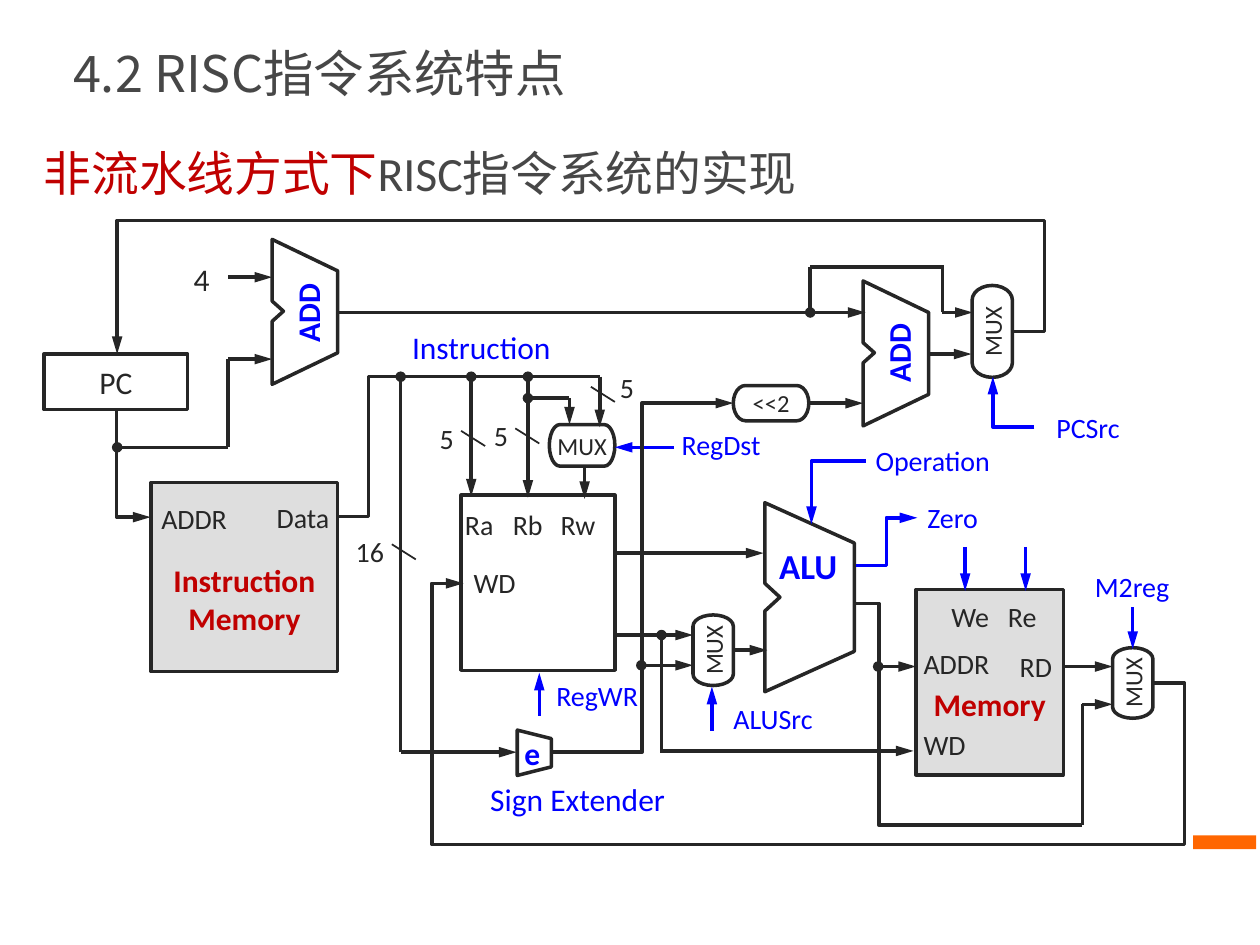
from dataclasses import dataclass

from lxml.etree import SubElement
from pptx import Presentation
from pptx.dml.color import RGBColor
from pptx.enum.shapes import MSO_CONNECTOR, MSO_SHAPE
from pptx.enum.text import MSO_ANCHOR, MSO_AUTO_SIZE, PP_ALIGN
from pptx.oxml.ns import qn
from pptx.util import Pt

PX = 9144  # 100 px to the inch
COLORS = {"ink": "262626", "blue": "0000FF", "red": "C00000",
          "gray": "474747", "memory": "DEDEDE", "accent": "FF6600"}
LATIN, ASIAN = "Calibri", "Noto Sans CJK SC"
LEFT, CENTER, RIGHT = PP_ALIGN.LEFT, PP_ALIGN.CENTER, PP_ALIGN.RIGHT
FRAME_FORMAT = {"margin_left": 0, "margin_right": 0, "margin_top": 0,
                "margin_bottom": 0, "word_wrap": True,
                "auto_size": MSO_AUTO_SIZE.NONE,
                "vertical_anchor": MSO_ANCHOR.MIDDLE}


@dataclass
class Label:
    text: str
    box: tuple[int, int, int, int]
    color: str = "ink"
    size: float = 16
    align: PP_ALIGN = CENTER
    bold: bool = False
    turn: int = 0


@dataclass
class Block:
    box: tuple[int, int, int, int]
    text: str = ""
    kind: MSO_SHAPE = MSO_SHAPE.RECTANGLE
    size: int = 18
    color: str = "ink"
    fill: str = ""
    bold: bool = False
    turn: int = 0
    top_inset: int = 0


@dataclass
class Wire:
    ends: tuple[int, int, int, int]
    marks: str = ">"  # "o" dot at start, ">" arrow at end, "." dot at end
    color: str = "ink"
    width: float = 2


@dataclass
class Elbow:
    box: tuple[int, int, int, int]
    bends: int
    flip: str = ""
    adjust: tuple[int, ...] = ()
    turn: int = 0
    marks: str = ">"
    color: str = "ink"


def rgb(name: str) -> RGBColor:
    return RGBColor.from_string(COLORS[name])


def emu(box) -> list[int]:
    return [value * PX for value in box]


def style_span(span, size: float, color: str, bold: bool = False, face: str = LATIN) -> None:
    for name, value in {"size": Pt(size), "bold": bold, "name": face}.items():
        setattr(span.font, name, value)
    span.font.color.rgb = rgb(color)
    SubElement(span.font._element, qn("a:ea"), typeface=ASIAN)


def format_frame(frame, **changes) -> None:
    for name, value in {**FRAME_FORMAT, **changes}.items():
        setattr(frame, name, value)


def write(shape, text: str, size: float, color: str, align: PP_ALIGN, bold: bool, top: int = 0) -> None:
    frame = shape.text_frame
    format_frame(frame, margin_top=top * PX)
    for index, line in enumerate(text.split("\n")):
        para = frame.add_paragraph() if index else frame.paragraphs[0]
        para.alignment = align
        span = para.add_run()
        span.text = line
        style_span(span, size, color, bold)


def outline(shape) -> None:
    shape.shadow.inherit = False
    shape.fill.background()
    shape.line.color.rgb = rgb("ink")
    shape.line.width = Pt(2)


def draw_label(page, label: Label) -> None:
    box = page.shapes.add_textbox(*emu(label.box))
    box.rotation = label.turn
    write(box, label.text, label.size, label.color, label.align, label.bold)


def draw_block(page, block: Block):
    shape = page.shapes.add_shape(block.kind, *emu(block.box))
    outline(shape)
    shape.rotation = block.turn
    if block.fill:
        shape.fill.solid()
        shape.fill.fore_color.rgb = rgb(block.fill)
    if block.text:
        write(shape, block.text, block.size, block.color, CENTER, block.bold, block.top_inset)
    return shape


def finish_line(line, color: str, width: float, marks: str) -> None:
    line.line.color.rgb = rgb(color)
    line.line.width = Pt(width)
    stroke = line.line._get_or_add_ln()
    if "o" in marks:
        SubElement(stroke, qn("a:headEnd"), type="oval")
    if ">" in marks:
        SubElement(stroke, qn("a:tailEnd"), type="triangle", w="med", len="lg")
    elif "." in marks:
        SubElement(stroke, qn("a:tailEnd"), type="oval")
    SubElement(line._element.spPr, qn("a:effectLst"))


def draw_wire(page, wire: Wire) -> None:
    line = page.shapes.add_connector(MSO_CONNECTOR.STRAIGHT, *emu(wire.ends))
    finish_line(line, wire.color, wire.width, wire.marks)


def draw_elbow(page, elbow: Elbow) -> None:
    left, top, width, height = elbow.box
    line = page.shapes.add_connector(
        MSO_CONNECTOR.ELBOW, *emu((left, top, left + width, top + height)))
    properties = line._element.spPr
    frame, geometry = properties.find(qn("a:xfrm")), properties.find(qn("a:prstGeom"))
    frame.set("rot", str(elbow.turn * 60000))
    for axis in elbow.flip:
        frame.set("flip" + axis, "1")
    geometry.set("prst", f"bentConnector{elbow.bends}")
    guides = geometry.find(qn("a:avLst"))
    for number, value in enumerate(elbow.adjust, 1):
        SubElement(guides, qn("a:gd"), name=f"adj{number}", fmla=f"val {value}")
    finish_line(line, elbow.color, 2, elbow.marks)


def draw_adder(page, left: int, top: int, width: int, height: int) -> None:
    right, bottom, middle = left + width, top + height, top + height // 2
    slope, notch, depth = round(height * 0.215), round(height * 0.07), round(width * 0.17)
    builder = page.shapes.build_freeform(left, top, scale=PX)
    builder.add_line_segments([
        (right, top + slope), (right, bottom - slope), (left, bottom),
        (left, middle + notch), (left + depth, middle), (left, middle - notch)])
    outline(builder.convert_to_shape())


PILL = MSO_SHAPE.FLOWCHART_TERMINATOR
BLOCKS = [
    Block((727, 468, 117, 147), "Memory", color="red", fill="memory", bold=True, top_inset=35),
    Block((120, 383, 148, 150), "Instruction\nMemory", color="red", fill="memory", bold=True, top_inset=35),
    Block((366, 393, 122, 139)),
    Block((35, 281, 114, 44), "PC"),
    Block((436, 337, 52, 33), "MUX", PILL, 14),
    Block((582, 306, 60, 28), "<<2", PILL, 14),
    *[Block(box, "MUX", PILL, 14, turn=270)
      for box in ((538, 500, 56, 32), (871, 526, 56, 32), (751, 247, 73, 32))],
]
ADDERS = [(607, 399, 71, 150), (685, 223, 52, 115), (216, 190, 52, 115)]
LABELS = [
    *[Label(name, (left, 394, 36, 45), align=LEFT)
      for name, left in (("Ra", 369), ("Rb", 407), ("Rw", 445))],
    *[Label(name, (left, 474, 36, 30), align=LEFT) for name, left in (("We", 755), ("Re", 800))],
    *[Label("ADDR", (left, top, 68, 45), align=LEFT) for left, top in ((733, 504), (128, 389))],
    *[Label("WD", (left, top, 47, 45), align=LEFT) for left, top in ((733, 568), (376, 440))],
    *[Label("5", (left, top, 25, 45)) for left, top in ((342, 325), (385, 323), (485, 285))],
    *[Label("ADD", (left, top, 80, 41), "blue", 18, bold=True, turn=270)
      for left, top in ((673, 260), (204, 228))],
    Label("Data", (216, 388, 49, 45)),
    Label("RD", (788, 506, 47, 45), align=RIGHT),
    Label("4", (141, 199, 38, 45), size=18),
    Label("16", (276, 415, 35, 45)),
    Label("ALU", (606, 432, 71, 34), "blue", 20, bold=True),
    Label("Instruction", (312, 253, 140, 45), "blue", 18),
    Label("Sign Extender", (382, 614, 153, 40), "blue", 18),
    Label("Operation", (695, 343, 100, 45), "blue", align=LEFT),
    Label("Zero", (736, 388, 68, 45), "blue", align=LEFT),
    Label("RegDst", (541, 330, 68, 45), "blue", align=LEFT),
    Label("ALUSrc", (573, 553, 81, 34), "blue"),
    Label("PCSrc", (829, 322, 69, 34), "blue"),
    Label("M2reg", (860, 448, 77, 34), "blue"),
    Label("RegWR", (437, 535, 74, 34), "blue"),
]
DATA_ARROWS = [
    (476, 299, 476, 339), (464, 370, 464, 396), (452, 316, 452, 337), (524, 596, 725, 596),
    (488, 439, 606, 439), (488, 504, 550, 504), (643, 320, 685, 320), (737, 281, 771, 281),
    (748, 248, 772, 248), (268, 248, 687, 248), (318, 597, 410, 597), (181, 285, 216, 285),
    (181, 220, 216, 220), (582, 516, 609, 516), (843, 529, 883, 529), (859, 559, 883, 559)]
CONTROL_ARROWS = [
    (428, 568, 428, 534), (565, 580, 565, 545), (899, 482, 899, 515),
    (535, 355, 488, 355), (814, 434, 814, 469), (766, 434, 766, 469)]
DOTTED_ARROWS = [
    (419, 299, 419, 395), (374, 299, 374, 394), (697, 529, 727, 529), (509, 528, 550, 528)]
DOTTED_LINES = [(419, 316, 452, 316), (525, 504, 525, 597), (643, 248, 643, 212), (93, 355, 181, 355)]
PLAIN_LINES = [(748, 248, 748, 212), (643, 212, 749, 212), (181, 285, 181, 355), (859, 559, 859, 655)]
BUS_SLASHES = [(366, 342), (409, 340), (469, 307), (311, 432)]
WIRES = [
    *[Wire(ends) for ends in DATA_ARROWS],
    *[Wire(ends, color="blue") for ends in CONTROL_ARROWS],
    *[Wire(ends, "o>") for ends in DOTTED_ARROWS],
    *[Wire(ends, "o") for ends in DOTTED_LINES],
    *[Wire(ends, "") for ends in PLAIN_LINES],
    *[Wire((x, y, x + 19, y + 12), "", width=1) for x, y in BUS_SLASHES],
    Wire((318, 597, 318, 299), "."),
]
ELBOWS = [
    Elbow((268, 299, 208, 111), 3, "V", (11700,), marks=""),
    Elbow((437, 320, 145, 277), 3, "V", (50000,)),
    Elbow((368, 463, 547, 79), 5, "HV", (-4600, -162300, 104600)),
    Elbow((63, 354, 86, 27), 2, "H", turn=270),
    Elbow((93, 263, 711, 18), 4, "H", (-3500, -488800)),
    Elbow((677, 479, 182, 176), 3, adjust=(11300,), marks=""),
    Elbow((679, 411, 49, 38), 3, "V", (50000,), color="blue"),
    Elbow((644, 366, 43, 50), 2, "V", turn=180, color="blue"),
    Elbow((788, 299, 33, 40), 2, turn=180, color="blue"),
]


def main() -> None:
    deck = Presentation()
    deck.slide_width, deck.slide_height = emu((1000, 750))
    page = deck.slides.add_slide(deck.slide_layouts[5])

    # Headings
    title = page.shapes.title
    title.left, title.top, title.width, title.height = emu((48, 8, 919, 75))
    subtitle = page.shapes.add_textbox(*emu((25, 74, 648, 125)))
    for box, size, face, spacing, parts in (
            (title, 28.8, ASIAN, 1.5, [("4.2 RISC指令系统特点", "gray")]),
            (subtitle, 27.3, LATIN, 1.0, [("非流水线方式下", "red"), ("RISC指令系统的实现", "gray")])):
        format_frame(box.text_frame, margin_left=10 * PX, margin_right=10 * PX)
        para = box.text_frame.paragraphs[0]
        para.alignment, para.line_spacing = LEFT, spacing
        for text, color in parts:
            span = para.add_run()
            span.text = text
            style_span(span, size, color, face=face)

    # Corner accent
    accent = draw_block(page, Block((947, 663, 50, 11), fill="accent"))
    accent.line.fill.background()

    # Datapath
    for block in BLOCKS:
        draw_block(page, block)
    extender = draw_block(page, Block((406, 584, 36, 27), "e", MSO_SHAPE.TRAPEZOID,
                                      color="blue", bold=True, turn=90))
    extender.text_frame._txBody.bodyPr.set("vert", "vert270")
    for adder in ADDERS:
        draw_adder(page, *adder)
    for wire in WIRES:
        draw_wire(page, wire)
    for elbow in ELBOWS:
        draw_elbow(page, elbow)
    for label in LABELS:
        draw_label(page, label)
    deck.save("out.pptx")


if __name__ == "__main__":
    main()
